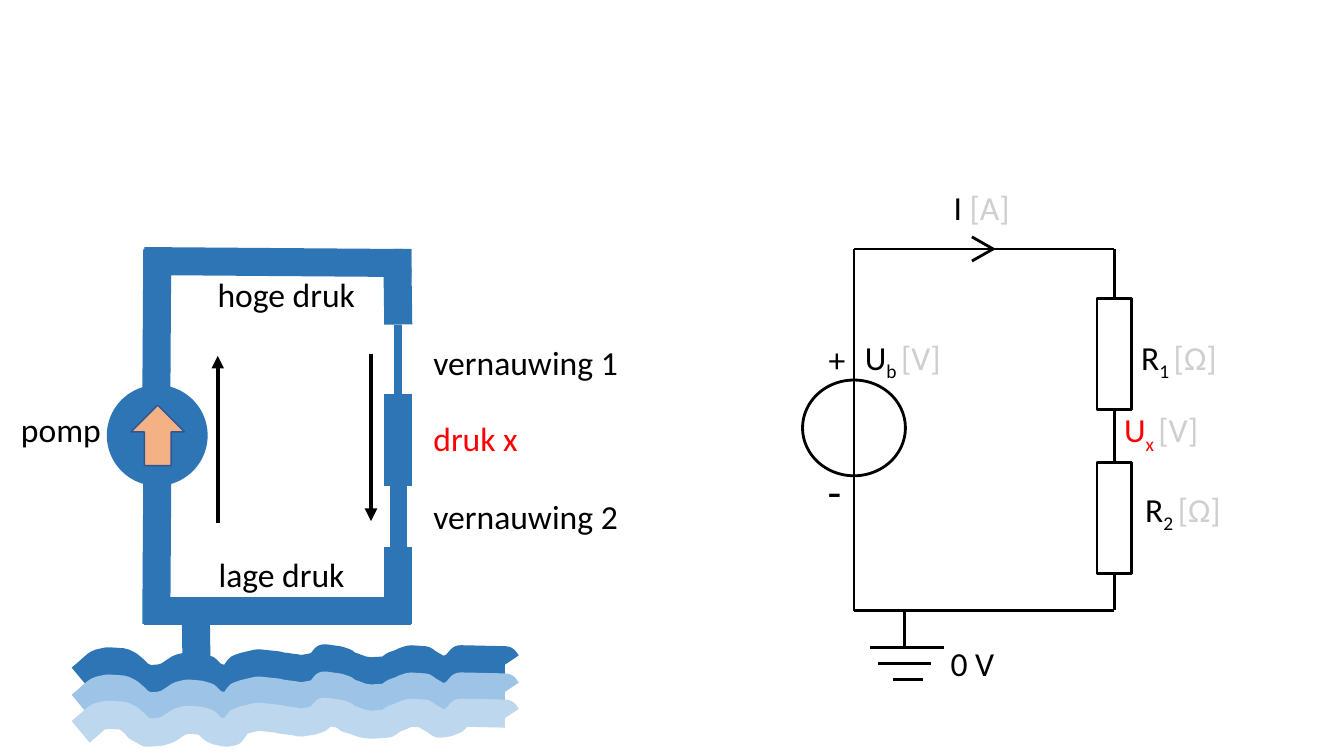
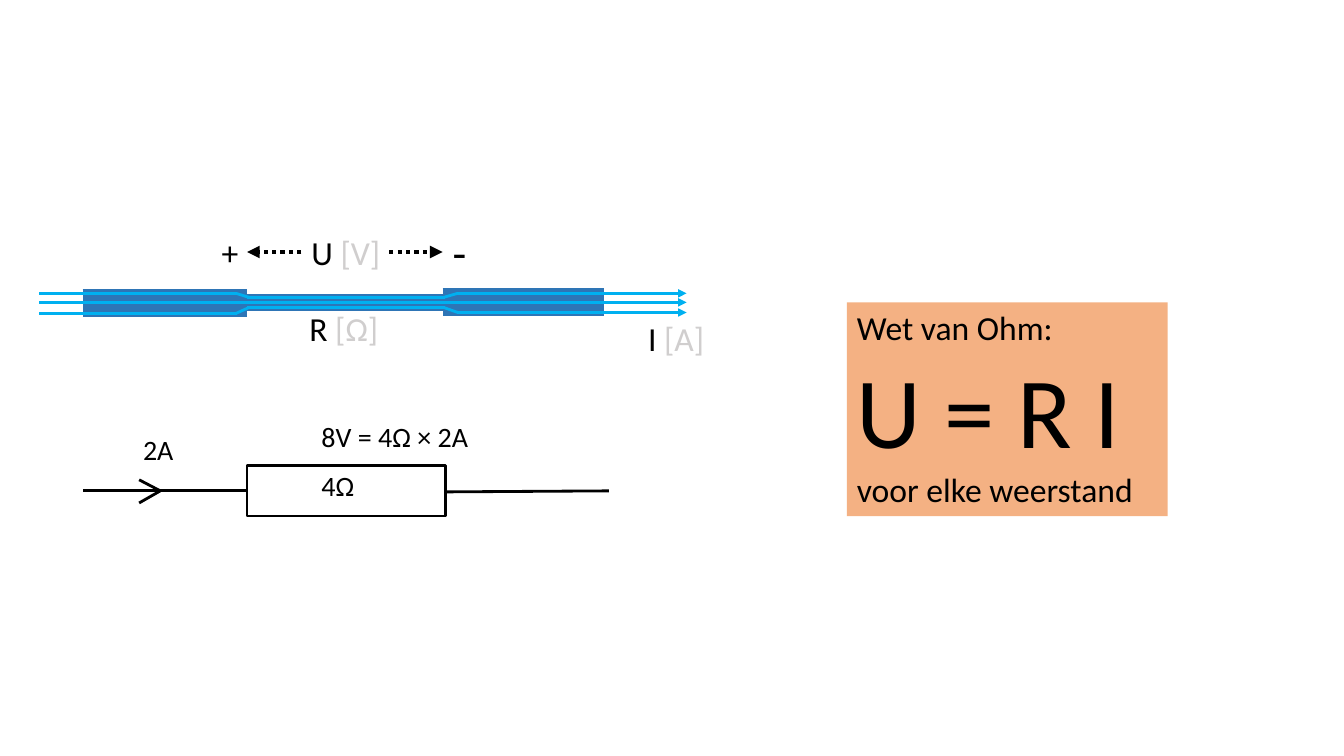
import pptx
import pptx.util
import pptx.dml.color
import pptx.enum.dml
import pptx.enum.shapes
import lxml.etree

PX = 9144  # 100 px to the inch
COLOURS = {
    "ink": "000000", "unit": "D0CECE", "red": "FF0000", "water": "2E75B6",
    "wave": "9DC3E6", "foam": "BDD7EE", "flow": "00B0F0", "peach": "F4B183",
    "edge": "325491",
}
FONT = "Calibri"
PIPE, THIN, WIRE, ARROW = 20, 12, 2, 3  # line widths in points
SHAPE = pptx.enum.shapes.MSO_SHAPE


def add_line(page, ends, colour="ink", width=WIRE, arrow=False, dotted=False):
    line = page.shapes.add_connector(
        pptx.enum.shapes.MSO_CONNECTOR.STRAIGHT, *[v * PX for v in ends])
    line.line.color.rgb = pptx.dml.color.RGBColor.from_string(COLOURS[colour])
    line.line.width = pptx.util.Pt(width)
    if dotted:
        line.line.dash_style = pptx.enum.dml.MSO_LINE.ROUND_DOT
    if arrow:
        tail = lxml.etree.SubElement(line.line._get_or_add_ln(), pptx.oxml.ns.qn("a:tailEnd"))
        tail.set("type", "triangle")
    lxml.etree.SubElement(line._element.spPr, pptx.oxml.ns.qn("a:effectLst"))


def add_text(page, place, paragraphs, size=24, wrap=True):
    """Each paragraph is a list of runs: (text, colour, then size or "sub")."""
    box = page.shapes.add_textbox(*[v * PX for v in place])
    box.text_frame.word_wrap = wrap
    for number, runs in enumerate(paragraphs):
        para = box.text_frame.paragraphs[0] if number == 0 else box.text_frame.add_paragraph()
        for text, colour, *extra in runs:
            span = para.add_run()
            span.text = text
            span.font.name = FONT
            span.font.size = pptx.util.Pt(size)
            span.font.color.rgb = pptx.dml.color.RGBColor.from_string(COLOURS[colour])
            if extra == ["sub"]:
                span.font._element.set("baseline", "-25000")
            elif extra:
                span.font.size = pptx.util.Pt(extra[0])
    return box


deck = pptx.Presentation()
deck.slide_width, deck.slide_height = 1333 * PX, 750 * PX
blank = deck.slide_layouts[6]
water_page = deck.slides.add_slide(blank)
ohm_page = deck.slides.add_slide(blank)

# Outlined and filled shapes of both slides
for page, kind, place, fill, edge, width in [
    (water_page, SHAPE.OVAL, (106, 382, 100, 100), "water", None, 0),
    (water_page, SHAPE.UP_ARROW, (130, 402, 53, 60), "peach", "edge", 1),
    (water_page, SHAPE.OVAL, (796, 377, 102, 95), None, "ink", WIRE),
    (water_page, SHAPE.RECTANGLE, (1088, 296, 34, 110), None, "ink", WIRE),
    (water_page, SHAPE.RECTANGLE, (1088, 459, 34, 110), None, "ink", WIRE),
    (ohm_page, SHAPE.RECTANGLE, (245, 462, 197, 50), None, "ink", WIRE),
]:
    shape = page.shapes.add_shape(kind, *[v * PX for v in place])
    shape.shadow.inherit = False
    if fill:
        shape.fill.solid()
        shape.fill.fore_color.rgb = pptx.dml.color.RGBColor.from_string(COLOURS[fill])
    else:
        shape.fill.background()
    if edge:
        shape.line.color.rgb = pptx.dml.color.RGBColor.from_string(COLOURS[edge])
        shape.line.width = pptx.util.Pt(width)
    else:
        shape.line.fill.background()

# Slide 1, left: water circuit
for ends, width in [
    ((155, 402, 156, 247), PIPE),
    ((143, 259, 408, 261), PIPE),
    ((395, 322, 394, 247), PIPE),
    ((143, 606, 408, 606), PIPE),
    ((155, 619, 156, 472), PIPE),
    ((395, 402, 395, 322), 6),
    ((395, 552, 395, 472), THIN),
    ((395, 619, 395, 543), PIPE),
    ((395, 482, 395, 391), PIPE),
    ((195, 668, 194, 593), PIPE),
]:
    add_line(water_page, ends, "water", width)
for ends in [(368, 351, 368, 517), (216, 519, 216, 353)]:
    add_line(water_page, ends, width=ARROW, arrow=True)

wave_points = [
    (80, 673), (86, 668), (95, 660), (98, 658), (107, 656), (122, 657), (128, 660),
    (135, 666), (137, 669), (143, 672), (146, 674), (159, 673), (166, 671), (172, 667),
    (178, 663), (186, 661), (198, 662), (205, 664), (211, 670), (215, 672), (224, 674),
    (230, 673), (232, 670), (237, 663), (243, 661), (256, 658), (275, 660), (279, 661),
    (294, 663), (298, 664), (310, 662), (316, 660), (320, 656), (322, 653), (336, 655),
    (342, 657), (345, 660), (349, 661), (360, 665), (368, 666), (384, 665), (391, 660),
    (397, 658), (401, 656), (407, 654), (421, 655), (425, 658), (432, 662), (436, 665),
    (444, 664), (451, 661), (457, 654), (501, 655), (503, 658),
]
for drop, colour in [(0, "water"), (27, "wave"), (53, "foam")]:
    (start_x, start_y), *others = [(x, y + drop) for x, y in wave_points]
    builder = water_page.shapes.build_freeform(start_x, start_y, scale=PX)
    builder.add_line_segments(others, close=False)
    wave = builder.convert_to_shape()
    wave.shadow.inherit = False
    wave.fill.background()
    wave.line.color.rgb = pptx.dml.color.RGBColor.from_string(COLOURS[colour])
    wave.line.width = pptx.util.Pt(PIPE)

# Slide 1, right: electric circuit with current arrow and earth
for ends in [
    (847, 247, 847, 606), (1105, 247, 847, 247), (1105, 606, 847, 606),
    (1105, 247, 1105, 296), (1105, 406, 1105, 459), (1105, 569, 1105, 605),
    (964, 259, 985, 247), (985, 247, 964, 235),
    (897, 605, 897, 641), (936, 642, 863, 642), (923, 658, 871, 658), (915, 674, 886, 674),
]:
    add_line(water_page, ends)

for place, runs in [
    ((11, 401, 101, 50), [("pomp", "ink")]),
    ((420, 334, 213, 50), [("vernauwing 1", "ink")]),
    ((420, 487, 213, 50), [("vernauwing 2", "ink")]),
    ((206, 267, 213, 50), [("hoge druk", "ink")]),
    ((207, 545, 213, 50), [("lage druk", "ink")]),
    ((420, 410, 111, 50), [("druk x", "red")]),
    ((848, 329, 117, 50), [("U", "ink"), ("b ", "ink", "sub"), ("[V]", "unit")]),
    ((936, 181, 83, 50), [("I ", "ink"), ("[A]", "unit")]),
    ((812, 331, 34, 50), [("+", "ink")]),
    ((811, 455, 34, 64), [("-", "ink", 32)]),
    ((1105, 401, 104, 50), [("U", "red"), ("x ", "red", "sub"), ("[V]", "unit")]),
    ((1122, 329, 112, 50), [("R", "ink"), ("1 ", "ink", "sub"), ("[Ω]", "unit")]),
    ((1126, 480, 112, 50), [("R", "ink"), ("2 ", "ink", "sub"), ("[Ω]", "unit")]),
    ((933, 633, 104, 50), [("0 V", "ink")]),
]:
    add_text(water_page, place, [runs])

# Slide 2: narrowed pipe with flow lines
for ends in [(386, 250, 439, 250), (299, 250, 245, 250)]:
    add_line(ohm_page, ends, width=ARROW, arrow=True, dotted=True)
for ends, width in [
    ((233, 300, 442, 300), THIN), ((82, 301, 245, 301), PIPE), ((439, 300, 599, 300), PIPE),
]:
    add_line(ohm_page, ends, "water", width)
add_line(ohm_page, (39, 300, 681, 300), "flow", arrow=True)
for left, narrow, right in [(291, 295, 291), (311, 305, 310)]:
    add_line(ohm_page, (39, left, 235, left), "flow")
    add_line(ohm_page, (234, left, 247, narrow), "flow")
    add_line(ohm_page, (245, narrow, 441, narrow), "flow")
    add_line(ohm_page, (440, narrow, 454, right), "flow")
    add_line(ohm_page, (453, right, 681, right), "flow", arrow=True)

# Slide 2: resistor wires and current arrow
for ends in [
    (245, 487, 82, 487), (604, 487, 441, 488), (138, 499, 159, 487), (159, 487, 138, 476),
]:
    add_line(ohm_page, ends)

for place, runs, size, wrap in [
    ((633, 310, 83, 50), [("I ", "ink"), ("[A]", "unit")], 24, True),
    ((299, 225, 89, 50), [("U ", "ink"), ("[V]", "unit")], 24, False),
    ((297, 301, 89, 50), [("R ", "ink"), ("[Ω]", "unit")], 24, False),
    ((210, 225, 50, 50), [("+", "ink")], 24, True),
    ((439, 218, 46, 64), [("-", "ink")], 32, True),
    ((132, 424, 65, 44), [("2A", "ink")], 20, True),
    ((309, 460, 66, 44), [("4Ω", "ink")], 20, True),
    ((309, 411, 167, 44), [("8V = 4Ω × 2A", "ink")], 20, False),
]:
    add_text(ohm_page, place, [runs], size, wrap)

law = add_text(ohm_page, (840, 300, 318, 212), [
    [("Wet van Ohm:", "ink")],
    [("U = R I", "ink", 72)],
    [("voor elke weerstand", "ink")],
])
law.fill.solid()
law.fill.fore_color.rgb = pptx.dml.color.RGBColor.from_string(COLOURS["peach"])

deck.save("out.pptx")
